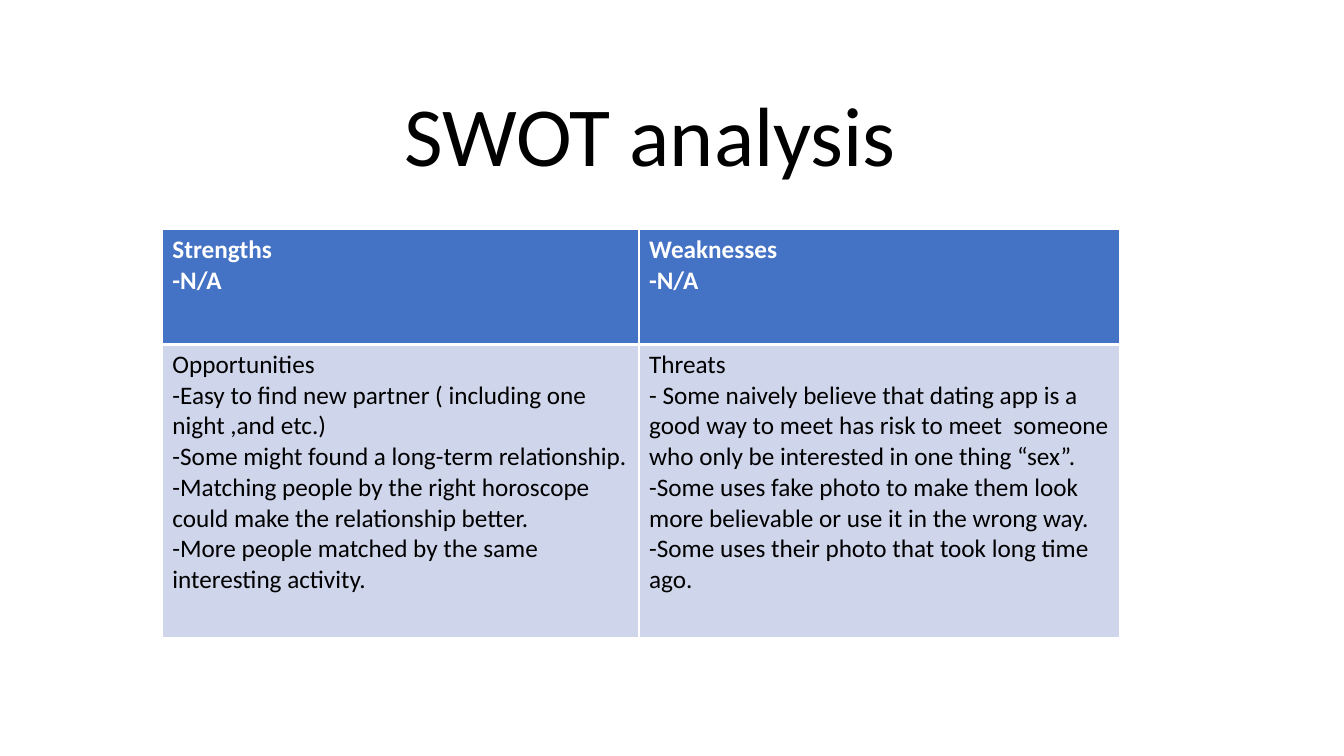
from dataclasses import dataclass

from lxml.etree import SubElement
from pptx import Presentation
from pptx.dml.color import RGBColor
from pptx.enum.text import MSO_AUTO_SIZE, PP_ALIGN
from pptx.oxml.ns import qn
from pptx.slide import Slide
from pptx.table import _Cell
from pptx.util import Pt


@dataclass(frozen=True)
class Theme:
    font: str = "Calibri"
    title_size: int = 60
    body_size: int = 18
    white: str = "FFFFFF"
    black: str = "000000"
    head_fill: str = "4472C4"
    body_fill: str = "CFD5EA"


@dataclass(frozen=True)
class Style:
    fill: str
    ink: str
    bold: bool
    height: float
    top: float
    bottom: float


@dataclass(frozen=True)
class Quadrant:
    name: str
    points: tuple[str, ...]


THEME = Theme()
HEAD = Style(THEME.head_fill, THEME.white, True, 82, 1, 3)
BODY = Style(THEME.body_fill, THEME.black, False, 209.5, 3, 1)
COLUMNS = (340.5, 343.5)

SWOT = (
    (HEAD, (
        Quadrant("Strengths", ("-N/A",)),
        Quadrant("Weaknesses", ("-N/A",)),
    )),
    (BODY, (
        Quadrant("Opportunities", (
            "-Easy to find new partner ( including one night ,and etc.)",
            "-Some might found a long-term relationship.",
            "-Matching people by the right horoscope could make the relationship better.",
            "-More people matched by the same interesting activity.",
        )),
        Quadrant("Threats", (
            "- Some naively believe that dating app is a good way to meet has risk "
            "to meet  someone who only be interested in one thing “sex”.",
            "-Some uses fake photo to make them look more believable or use it in "
            "the wrong way.",
            "-Some uses their photo that took long time ago.",
        )),
    )),
)


def add_run(para, text: str, size: int, ink: str, bold: bool = False) -> None:
    run = para.add_run()
    run.text = text
    run.font.name = THEME.font
    run.font.size = Pt(size)
    run.font.bold = bold
    run.font.color.rgb = RGBColor.from_string(ink)


def add_borders(cell: _Cell, style: Style) -> None:
    """Draw the cell edges; call before filling, as the schema puts lines first."""
    props = cell._tc.get_or_add_tcPr()
    widths = {"L": 1, "R": 1, "T": style.top, "B": style.bottom}
    for side, width in widths.items():
        line = SubElement(props, qn(f"a:ln{side}"), w=str(Pt(width)))
        fill = SubElement(line, qn("a:solidFill"))
        SubElement(fill, qn("a:srgbClr"), val=THEME.white)


def fill_cell(cell: _Cell, style: Style, quadrant: Quadrant) -> None:
    add_borders(cell, style)
    cell.fill.solid()
    cell.fill.fore_color.rgb = RGBColor.from_string(style.fill)
    frame = cell.text_frame
    for index, text in enumerate((quadrant.name, *quadrant.points)):
        para = frame.add_paragraph() if index else frame.paragraphs[0]
        add_run(para, text, THEME.body_size, style.ink, style.bold)


def add_swot(slide: Slide) -> None:
    height = sum(style.height for style, _ in SWOT)
    table = slide.shapes.add_table(
        len(SWOT), len(COLUMNS), Pt(116), Pt(164), Pt(sum(COLUMNS)), Pt(height)
    ).table
    for column, width in zip(table.columns, COLUMNS):
        column.width = Pt(width)
    for row, (style, quadrants) in zip(table.rows, SWOT):
        row.height = Pt(style.height)
        for cell, quadrant in zip(row.cells, quadrants):
            fill_cell(cell, style, quadrant)


def add_title(slide: Slide, text: str) -> None:
    box = slide.shapes.add_textbox(Pt(215.5), Pt(55.5), Pt(498), Pt(80))
    frame = box.text_frame
    frame.word_wrap = True
    frame.auto_size = MSO_AUTO_SIZE.SHAPE_TO_FIT_TEXT
    para = frame.paragraphs[0]
    para.alignment = PP_ALIGN.CENTER
    add_run(para, text, THEME.title_size, THEME.black)


def main() -> None:
    deck = Presentation()
    deck.slide_width, deck.slide_height = Pt(960), Pt(540)
    slide = deck.slides.add_slide(deck.slide_layouts[6])
    add_swot(slide)
    add_title(slide, "SWOT analysis")
    deck.save("out.pptx")


if __name__ == "__main__":
    main()
